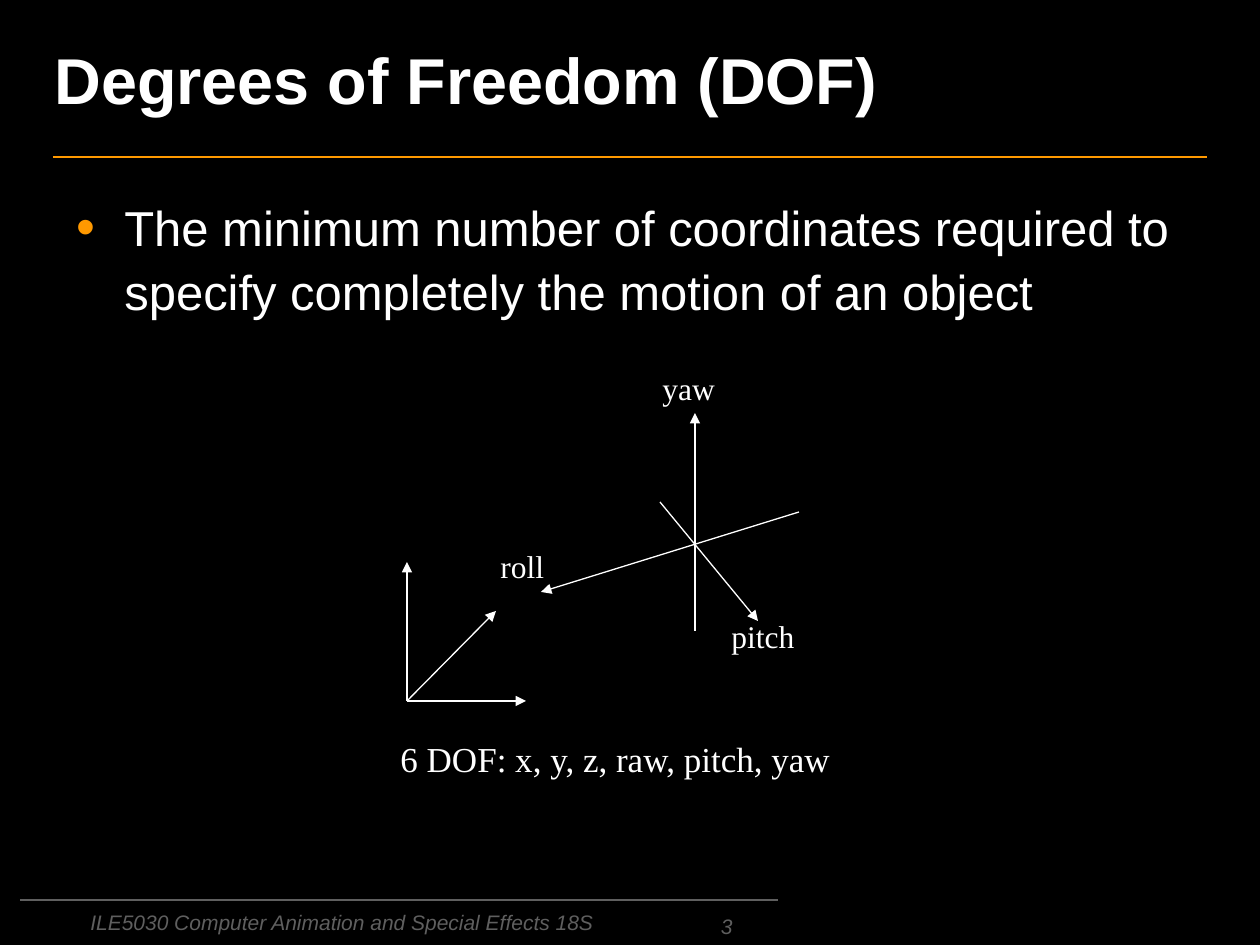
"""Build the Degrees of Freedom slide with its axis diagram."""
from lxml.etree import SubElement
from pptx import Presentation
from pptx.dml.color import RGBColor
from pptx.enum.shapes import MSO_CONNECTOR
from pptx.enum.text import MSO_ANCHOR, MSO_AUTO_SIZE, PP_ALIGN
from pptx.oxml import parse_xml
from pptx.oxml.ns import nsdecls, qn
from pptx.util import Pt

PX = 914400 / 126
COLORS = {"black": "000000", "white": "FFFFFF", "orange": "FF9900",
          "gray": "5F5F5F", "purple": "993399"}


def write(box, bounds, text, size, font="Arial", color="white", wrap=True):
    box.left, box.top, box.width, box.height = [round(v * PX) for v in bounds]
    frame = box.text_frame
    frame.word_wrap = wrap
    frame.auto_size = MSO_AUTO_SIZE.NONE if wrap else MSO_AUTO_SIZE.SHAPE_TO_FIT_TEXT
    para = frame.paragraphs[0]
    para.alignment = PP_ALIGN.LEFT
    span = para.add_run()
    span.text = text
    span.font.size = Pt(size)
    span.font.name = font
    span.font.color.rgb = RGBColor.from_string(COLORS[color])
    return frame, para, span


def draw_line(start, end, color="white", width=0.75, arrow=True):
    line = page.shapes.add_connector(
        MSO_CONNECTOR.STRAIGHT, *[round(v * PX) for v in (*start, *end)])
    line.line.color.rgb = RGBColor.from_string(COLORS[color])
    line.line.width = Pt(width)
    if arrow:
        SubElement(line.line._get_or_add_ln(), qn("a:tailEnd"), type="triangle")
    SubElement(line._element.spPr, qn("a:effectLst"))


deck = Presentation()
deck.slide_width = round(1260 * PX)
deck.slide_height = round(945 * PX)
page = deck.slides.add_slide(deck.slide_layouts[5])
page.background.fill.solid()
page.background.fill.fore_color.rgb = RGBColor.from_string(COLORS["black"])

draw_line((53, 157), (1207, 157), "orange", 1, False)
draw_line((20, 900), (778, 900), "gray", 1, False)

frame, para, span = write(page.shapes.title, (42, 0, 924, 157),
                          "Degrees of Freedom (DOF)", 37)
frame.vertical_anchor = MSO_ANCHOR.MIDDLE
span.font.bold = True
shadow = parse_xml(
    f'<a:effectLst {nsdecls("a")}><a:outerShdw dist="25400" dir="2700000">'
    f'<a:srgbClr val="{COLORS["purple"]}"/></a:outerShdw></a:effectLst>')
span.font._element.find(qn("a:solidFill")).addnext(shadow)

frame, para, span = write(
    page.shapes.add_textbox(0, 0, 0, 0), (64, 185, 1134, 636),
    "The minimum number of coordinates required to specify completely "
    "the motion of an object", 28)
properties = para._p.get_or_add_pPr()
properties.set("marL", str(round(48 * PX)))
properties.set("indent", str(round(-48 * PX)))
bullet_color = SubElement(properties, qn("a:buClr"))
SubElement(bullet_color, qn("a:srgbClr"), val=COLORS["orange"])
SubElement(properties, qn("a:buSzPct"), val="110000")
SubElement(properties, qn("a:buFont"), typeface="Arial")
SubElement(properties, qn("a:buChar"), char="•")
para.line_spacing = 1.1
para.space_after = Pt(6)

origin = (407, 701)
arrows = [
    ((799, 512), (541, 592)),
    ((695, 631), (695, 413)),
    ((660, 502), (758, 621)),
    (origin, (407, 562)),
    (origin, (526, 701)),
    (origin, (496, 611)),
]
for start, end in arrows:
    draw_line(start, end)

labels = [
    ("6 DOF: x, y, z, raw, pitch, yaw", (388, 731, 459, 54), 20),
    ("pitch", (719, 611, 88, 50), 18),
    ("roll", (488, 541, 69, 50), 18),
    ("yaw", (650, 363, 78, 50), 18),
]
for text, bounds, size in labels:
    write(page.shapes.add_textbox(0, 0, 0, 0), bounds, text, size,
          "Times New Roman", wrap=False)

footers = [
    ("ILE5030 Computer Animation and Special Effects 18S",
     (78, 903, 626, 42), PP_ALIGN.LEFT, MSO_ANCHOR.TOP),
    ("3", (451, 911, 294, 34), PP_ALIGN.RIGHT, MSO_ANCHOR.BOTTOM),
]
for text, bounds, alignment, anchor in footers:
    frame, para, span = write(page.shapes.add_textbox(0, 0, 0, 0), bounds,
                              text, 12, color="gray")
    frame.vertical_anchor = anchor
    para.alignment = alignment
    span.font.italic = True

deck.save("out.pptx")
